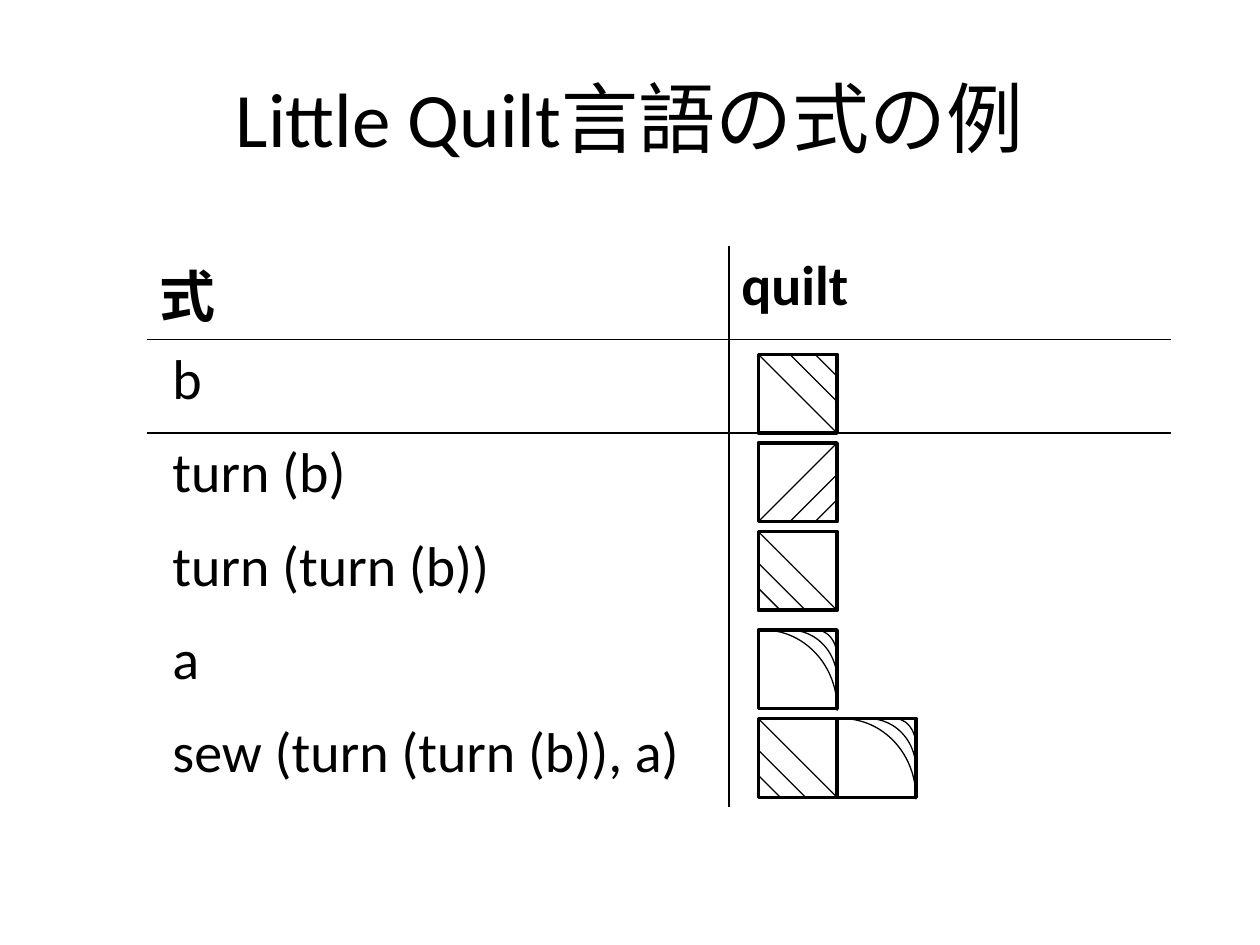
from lxml.etree import SubElement
from pptx import Presentation
from pptx.dml.color import RGBColor
from pptx.enum.shapes import MSO_CONNECTOR, MSO_SHAPE
from pptx.enum.text import MSO_ANCHOR, PP_ALIGN
from pptx.oxml import parse_xml
from pptx.oxml.ns import nsdecls, qn
from pptx.util import Inches, Pt

COLORS = {"ink": "000000"}
FONT = "Calibri"
WIDTH, HEIGHT = Inches(10), Inches(7.5)
UNIT = WIDTH / 16  # the slide is a grid of 16 columns and 12 rows
NO_STYLE = "{2D5ABB26-0587-4C30-8999-92F81FD0307C}"

# Each expression with the patches sewn side by side: (kind, quarter turns)
EXPRESSIONS = [
    ("b", [("b", 0)]),
    ("turn (b)", [("b", 1)]),
    ("turn (turn (b))", [("b", 2)]),
    ("a", [("a", 0)]),
    ("sew (turn (turn (b)), a)", [("b", 2), ("a", 0)]),
]
STRIPE_STARTS = (0, 0.4, 0.72)
ARC_SIZES = ((1.87, 2), (1.2, 1.26), (0.53, 0.67))


def grid(*lengths):
    return [round(n * UNIT) for n in lengths]


def write(tf, text, size=32, bold=False, align=PP_ALIGN.LEFT):
    p = tf.paragraphs[0]
    p.alignment = align
    r = p.add_run()
    r.text = text
    r.font.name = FONT
    r.font.size = Pt(size)
    r.font.bold = bold
    r.font.color.rgb = RGBColor.from_string(COLORS["ink"])


def set_line(sp, width):
    sp.line.color.rgb = RGBColor.from_string(COLORS["ink"])
    sp.line.width = Pt(width)


def add_outline(shapes, kind, box, width):
    sp = shapes.add_shape(kind, *grid(*box))
    sp.shadow.inherit = False
    sp.fill.background()
    set_line(sp, width)
    return sp


def add_stripe(shapes, start, end):
    line = shapes.add_connector(MSO_CONNECTOR.STRAIGHT, *grid(*start, *end))
    set_line(line, 0.75)
    SubElement(line._element.spPr, qn("a:effectLst"))


def turn(x, y, times):
    """Turn a point of the unit square clockwise by quarter turns."""
    for _ in range(times):
        x, y = 1 - y, x
    return x, y


def add_patch(slide, kind, turns, left, top):
    """Draw a patch one grid unit wide: b has stripes, a has arcs."""
    shapes = slide.shapes.add_group_shape().shapes
    add_outline(shapes, MSO_SHAPE.RECTANGLE, (left, top, 1, 1), 2)
    if kind == "b":
        for s in STRIPE_STARTS:
            ends = [turn(s, 0, turns), turn(1, 1 - s, turns)]
            add_stripe(shapes, *[(left + x, top + y) for x, y in ends])
    else:
        for w, h in ARC_SIZES:
            arc = add_outline(shapes, MSO_SHAPE.ARC,
                              (left + 1 - w, top, w, h), 0.75)
            arc.adjustments[0] = 163.79
            arc.adjustments[1] = 0.9


def add_quilts(slide, left, top):
    for i, (_, patches) in enumerate(EXPRESSIONS):
        y = top + 1.125 * i + (0.125 if i >= 3 else 0)
        for j, (kind, turns) in enumerate(patches):
            add_patch(slide, kind, turns, left + j, y)


def set_borders(cell, sides):
    """Rule the given sides, named in the order L, R, T, B."""
    tc_pr = cell._tc.get_or_add_tcPr()
    for i, side in enumerate(sides):
        tc_pr.insert(i, parse_xml(
            f'<a:ln{side} {nsdecls("a")} w="12700"><a:solidFill>'
            f'<a:srgbClr val="{COLORS["ink"]}"/></a:solidFill></a:ln{side}>'))


def add_expression_table(slide, left, top, width, height):
    rows = [("式", "quilt")] + [(text, "") for text, _ in EXPRESSIONS]
    frame = slide.shapes.add_table(len(rows), 2, *grid(left, top, width, height))
    table = frame.table
    table.first_row = table.horz_banding = False
    table._tbl.tblPr.find(qn("a:tableStyleId")).text = NO_STYLE
    for col, share in zip(table.columns, (0.568, 0.432)):
        col.width = grid(width * share)[0]
    for i, row in enumerate(rows):
        for j, text in enumerate(row):
            cell = table.cell(i, j)
            cell.fill.background()
            cell.margin_left = Inches(0.2 if i else 0.1)
            set_borders(cell, "LR"[1 - j] + ("T" if i == 1 else "" if i else "B"))
            if text:
                write(cell.text_frame, text, bold=i == 0)


def add_title(slide, left, top, width, height):
    title = slide.shapes.title
    title.left, title.top, title.width, title.height = grid(left, top, width, height)
    title.text_frame.vertical_anchor = MSO_ANCHOR.MIDDLE
    write(title.text_frame, "Little Quilt言語の式の例", size=44, align=PP_ALIGN.CENTER)


def main():
    prs = Presentation()
    prs.slide_width, prs.slide_height = WIDTH, HEIGHT
    slide = prs.slides.add_slide(prs.slide_layouts[5])
    add_title(slide, 0.8, 0.48, 14.4, 2)
    add_expression_table(slide, 1.87, 3.12, 13, 7.12)
    add_quilts(slide, 9.63, 4.5)
    prs.save("out.pptx")


if __name__ == "__main__":
    main()
